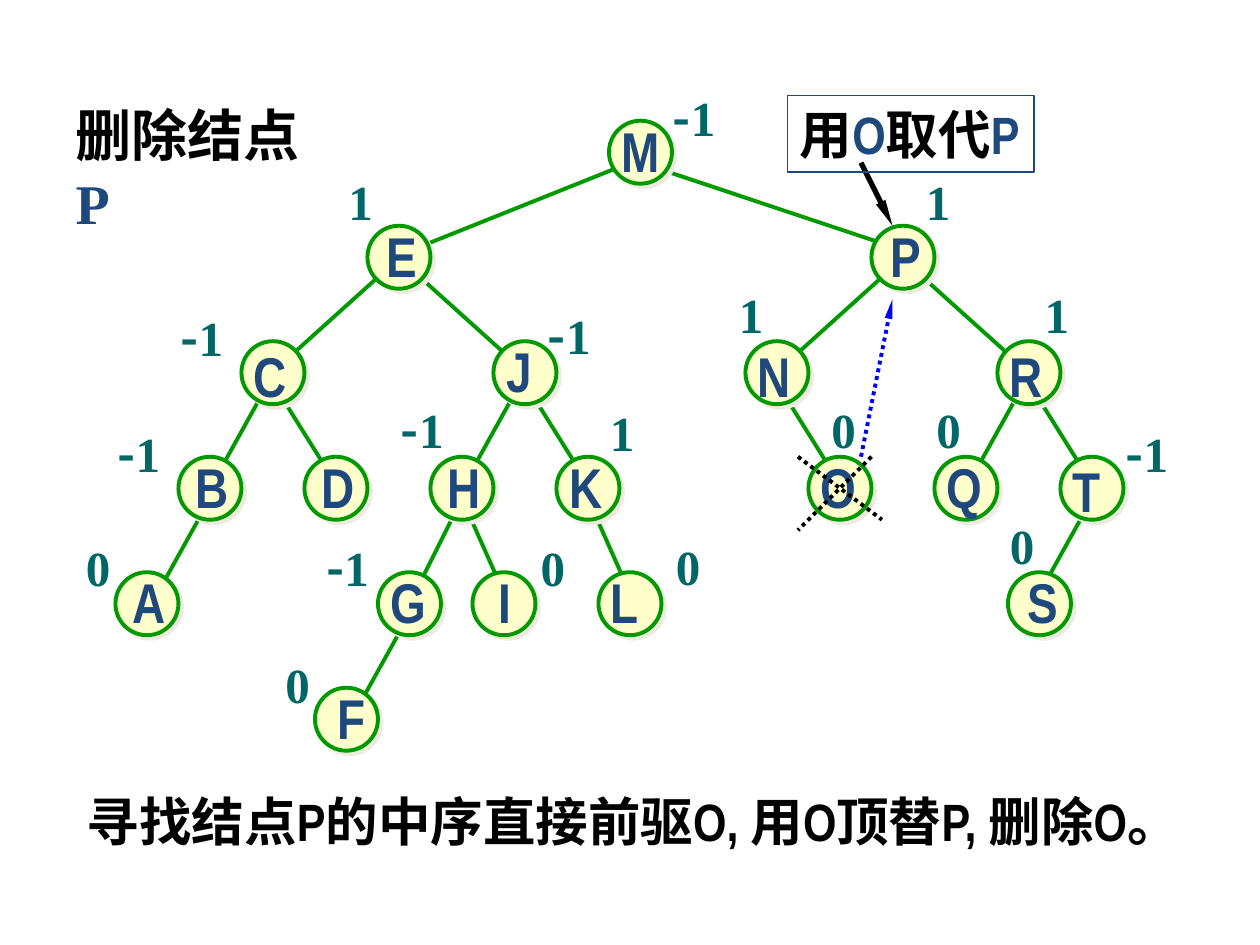
from collections import namedtuple

from lxml import etree
from pptx import Presentation
from pptx.dml.color import RGBColor
from pptx.enum.dml import MSO_LINE
from pptx.enum.shapes import MSO_CONNECTOR, MSO_SHAPE
from pptx.enum.text import MSO_ANCHOR, MSO_AUTO_SIZE, PP_ALIGN
from pptx.oxml.ns import qn
from pptx.util import Inches, Pt

OVAL = MSO_SHAPE.OVAL
STRAIGHT = MSO_CONNECTOR.STRAIGHT
DOTTED = MSO_LINE.ROUND_DOT
TOP = MSO_ANCHOR.TOP
LEFT = PP_ALIGN.LEFT
FIT_SHAPE = MSO_AUTO_SIZE.SHAPE_TO_FIT_TEXT
FIXED = MSO_AUTO_SIZE.NONE

Span = namedtuple("Span", "text font size color")
Node = namedtuple("Node", "letter col row shift_x shift_y width")


class Theme:
    ink = "000000"
    navy = "1F497D"
    green = "009900"
    cream = "FFFFCC"
    teal = "006666"
    blue = "0000FF"
    shade = "EEECE1"
    serif = "Times New Roman"
    narrow = "Arial Narrow"
    asian = "Noto Sans CJK SC"
    large, medium, small = 32, 30, 28
    edge, arrow, frame = 2.25, 3, 0.75


class TreePage:
    columns, rows = 120, 90

    def __init__(self, deck, theme):
        self.theme = theme
        self.cell_width = deck.slide_width / self.columns
        self.cell_height = deck.slide_height / self.rows
        self.page = deck.slides.add_slide(deck.slide_layouts[5])

    def x(self, columns):
        return round(columns * self.cell_width)

    def y(self, rows):
        return round(rows * self.cell_height)

    def area(self, col, row, width, height):
        return self.x(col), self.y(row), self.x(width), self.y(height)

    def add_spans(self, box, spans, wrap, fit):
        frame = box.text_frame
        frame.word_wrap = wrap
        frame.auto_size = fit
        frame.vertical_anchor = TOP
        para = frame.paragraphs[0]
        para.alignment = LEFT
        for span in spans:
            run = para.add_run()
            run.text = span.text
            run.font.name = span.font
            run.font.size = Pt(span.size)
            run.font.bold = True
            run.font.color.rgb = RGBColor.from_string(span.color)
            asian = etree.SubElement(run.font._element, qn("a:ea"))
            asian.set("typeface", self.theme.asian)

    def title(self, area, spans):
        box = self.page.shapes.title
        box.left, box.top, box.width, box.height = self.area(*area)
        self.add_spans(box, spans, True, FIXED)

    def text(self, area, spans, wrap=False, outline=None):
        box = self.page.shapes.add_textbox(*self.area(*area))
        self.add_spans(box, spans, wrap, FIXED if wrap else FIT_SHAPE)
        if outline:
            box.line.color.rgb = RGBColor.from_string(outline)
            box.line.width = Pt(self.theme.frame)

    def line(self, ends, color, width, dotted=False, arrow=False):
        x1, y1, x2, y2 = ends
        line = self.page.shapes.add_connector(
            STRAIGHT, self.x(x1), self.y(y1), self.x(x2), self.y(y2))
        line.line.color.rgb = RGBColor.from_string(color)
        line.line.width = Pt(width)
        if dotted:
            line.line.dash_style = DOTTED
        properties = line._element.spPr
        if arrow:
            outline = properties.find(qn("a:ln"))
            etree.SubElement(outline, qn("a:tailEnd"), type="triangle", w="sm", len="lg")
        etree.SubElement(properties, qn("a:effectLst"))

    def circle(self, node):
        theme = self.theme
        disc = self.page.shapes.add_shape(OVAL, *self.area(node.col, node.row, 6, 6))
        disc.fill.solid()
        disc.fill.fore_color.rgb = RGBColor.from_string(theme.cream)
        disc.line.color.rgb = RGBColor.from_string(theme.green)
        disc.line.width = Pt(theme.edge)
        disc.shadow.inherit = False
        effects = disc._element.spPr.find(qn("a:effectLst"))
        shadow = etree.SubElement(effects, qn("a:outerShdw"), dist=str(Pt(2.8)),
                                  dir="2700000", algn="ctr", rotWithShape="0")
        etree.SubElement(shadow, qn("a:srgbClr"), val=theme.shade)

    def letter(self, node):
        area = (node.col + node.shift_x, node.row + node.shift_y, node.width, 7.6)
        theme = self.theme
        self.text(area, [Span(node.letter, theme.narrow, theme.large, theme.navy)])

    def balance(self, value, col, row):
        theme = self.theme
        spans = [Span(char, theme.asian if char == "-" else theme.serif,
                      theme.small, theme.teal) for char in value]
        self.text((col, row, 4.8 if len(value) == 1 else 7.1, 6.8), spans)


NODES = [Node(*values) for values in (
    ("A", 11, 54.5, 0.4, -1, 5.6), ("B", 17, 43.5, 0.4, -1, 5.6),
    ("C", 23, 32.5, 0, -0.6, 5.6), ("D", 29, 43.5, 0.4, -1, 5.6),
    ("E", 35, 21.5, 0.6, -1, 5.3), ("F", 30, 65.5, 1, -1, 5),
    ("G", 36, 54.5, 0, -1, 5.8), ("H", 41, 43.5, 0.4, -1, 5.6),
    ("I", 45, 54.5, 1.3, -1, 3.6), ("J", 47, 32.5, 0.1, -1, 4.8),
    ("K", 53, 43.5, 0.1, -1, 5.6), ("L", 57, 54.5, 0, -1, 5),
    ("M", 58, 11.5, 0, -1, 6.1), ("N", 71, 32.5, 0, -0.6, 5.6),
    ("O", 77, 43.5, 0, -1, 5.8), ("P", 83, 21.5, 0.6, -1, 5.3),
    ("Q", 89, 43.5, 0, -1, 5.8), ("R", 95, 32.5, 0, -0.6, 5.6),
    ("S", 96, 54.5, 0.7, -1, 5.3), ("T", 101, 43.5, 0, -0.6, 5),
)]

EDGES = [
    (15, 56.5, 20, 47.5), (56, 47.5, 60, 56.5), (44, 47.5, 48, 56.5),
    (39, 57.5, 44, 47.5), (74, 36.5, 79, 44.5), (99, 56.5, 104, 47.5),
    (98, 36.5, 103, 44.5), (92, 46.5, 97, 37.5), (50, 36.5, 55, 44.5),
    (44, 46.5, 49, 37.5), (26, 36.5, 31, 44.5), (49, 34.5, 39, 25.5),
    (98, 35.5, 88, 26.5), (75, 34.5, 85, 25.5), (61, 15.5, 85, 23.5),
    (34, 67.5, 39, 58.5), (27, 34.5, 37, 25.5), (20, 46.5, 25, 37.5),
    (40, 23.5, 60, 15.5),
]

BALANCES = {
    "0": [(7, 50.6), (26, 61.7), (50.3, 50.6), (63.2, 50.5), (78, 37.5),
          (88, 37.5), (95, 48.5)],
    "-1": [(106, 39.7), (62.9, 7.7), (51, 28.5), (16, 28.7), (10, 39.7),
           (29.9, 50.6), (37, 37.5)],
    "1": [(56.9, 37.7), (69.2, 26.5), (98.3, 26.5), (87, 15.7), (32, 15.7)],
}


def main():
    deck = Presentation()
    deck.slide_width, deck.slide_height = Inches(10), Inches(7.5)
    theme = Theme()
    tree = TreePage(deck, theme)

    tree.title((6, 9, 27, 7.6), [
        Span("删除结点", theme.serif, theme.large, theme.ink),
        Span("P", theme.serif, theme.large, theme.navy)])
    tree.text((7.1, 74.6, 108.2, 7.2), [
        Span("寻找结点P的中序直接前驱O, 用O顶替P, 删除O。",
             theme.narrow, theme.medium, theme.ink)], wrap=True)

    for edge in EDGES:
        tree.line(edge, theme.green, theme.edge)
    for node in NODES:
        tree.circle(node)
    for node in NODES:
        tree.letter(node)
    for value, places in BALANCES.items():
        for col, row in places:
            tree.balance(value, col, row)

    tree.line((82, 15.5, 85, 21.5), theme.ink, theme.arrow, arrow=True)
    tree.line((82, 43.5, 85, 28.5), theme.blue, theme.edge, dotted=True, arrow=True)
    for stroke in ((83, 43.5, 76, 50.5), (76, 43.5, 84, 49.5)):
        tree.line(stroke, theme.ink, theme.edge, dotted=True)
    tree.text((75, 9.1, 23.5, 7.3), [
        Span("用", theme.serif, theme.medium, theme.ink),
        Span("O", theme.narrow, theme.medium, theme.navy),
        Span("取代", theme.narrow, theme.medium, theme.ink),
        Span("P", theme.narrow, theme.medium, theme.navy)],
        wrap=True, outline=theme.navy)

    deck.save("out.pptx")


if __name__ == "__main__":
    main()
